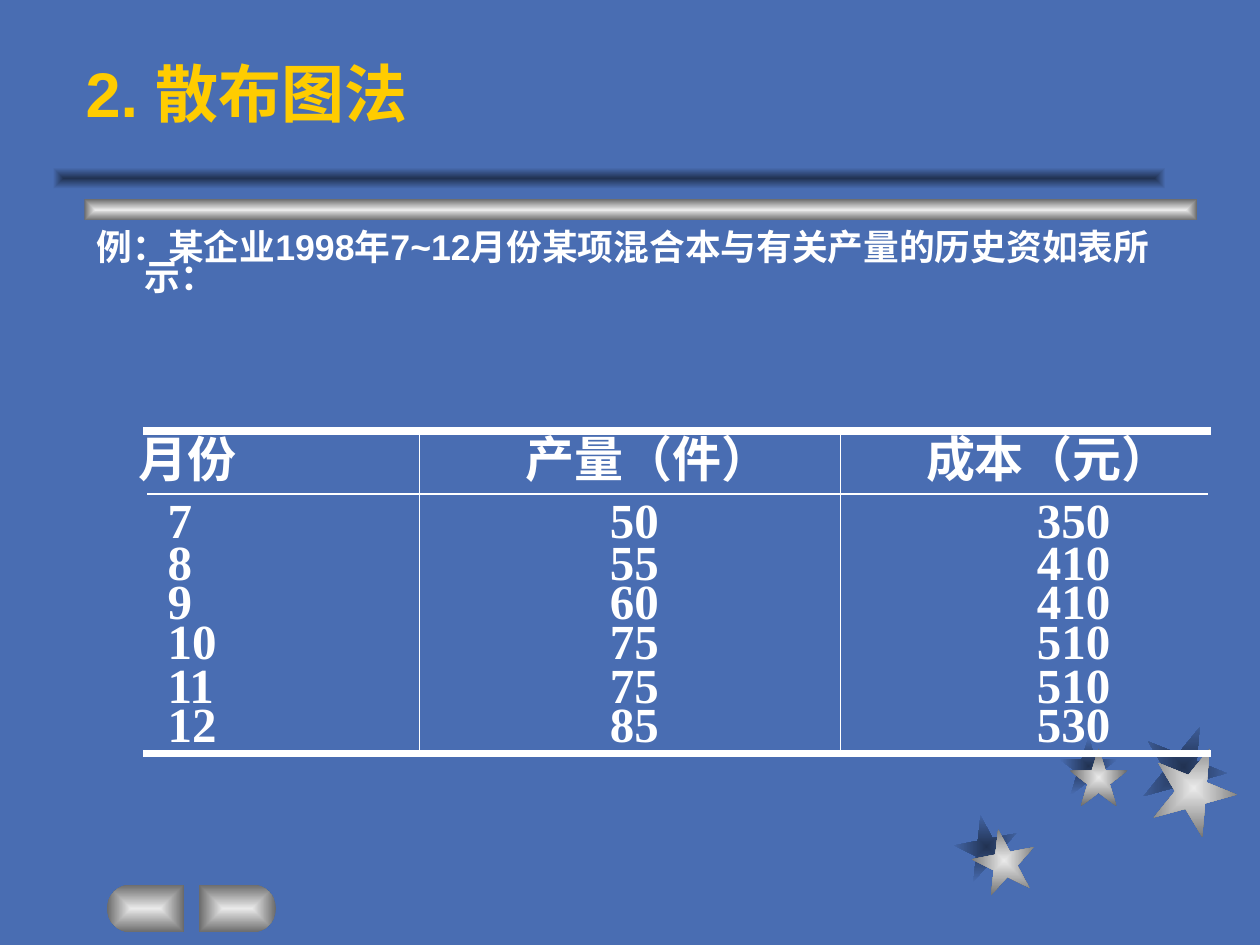
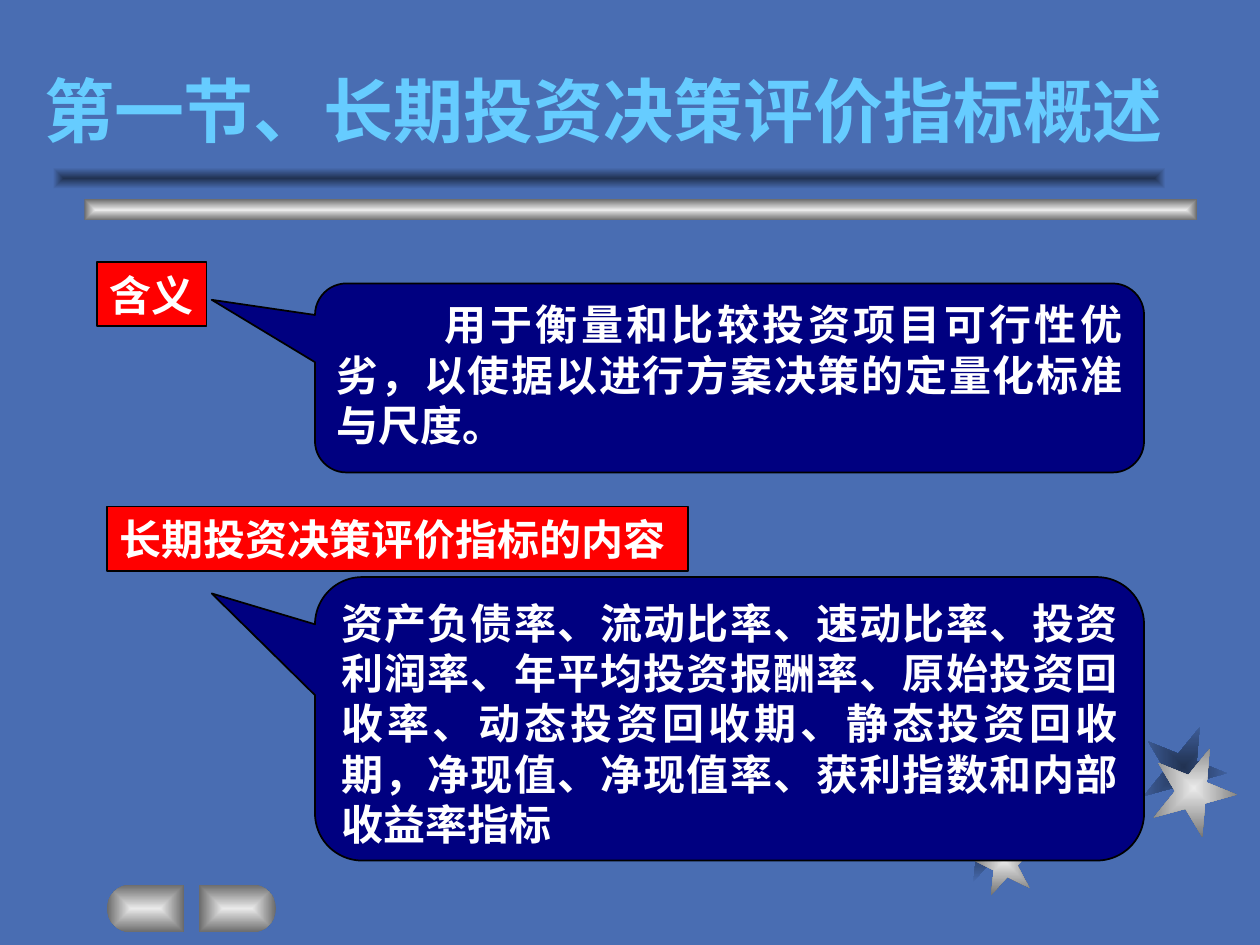
from math import cos, pi, sin

from lxml import etree
from pptx import Presentation
from pptx.dml.color import RGBColor
from pptx.enum.shapes import MSO_CONNECTOR as CONNECTOR, MSO_SHAPE as SHAPE
from pptx.enum.text import MSO_ANCHOR as ANCHOR, PP_ALIGN as ALIGN
from pptx.oxml.ns import qn
from pptx.util import Inches, Pt

COLORS = {
    "back": "496DB2", "shade": "213252", "silver": "EAEAEA", "gray": "6B6B6B",
    "white": "FFFFFF", "gold": "FFCC00", "sky": "66CCFF",
    "red": "FF0000", "navy": "000080", "black": "000000",
}
SANS, SERIF, CJK = "Arial", "Times New Roman", "Noto Sans CJK SC"
SHADOW, METAL = ("shade", "back"), ("silver", "gray")

COST_ROWS = [
    ("月份", "产量（件）", "成本（元）"),
    ("7", "50", "350"),
    ("8", "55", "410"),
    ("9", "60", "410"),
    ("10", "75", "510"),
    ("11", "75", "510"),
    ("12", "85", "530"),
]


def rgb(name):
    return RGBColor.from_string(COLORS[name])


def box(*lengths):
    return [Inches(n) for n in lengths]


def write(tf, text, size, color="white", latin=SERIF, spacing=None,
          align=ALIGN.LEFT, hanging=0, first_line=0):
    """Fill the first paragraph of a frame; indents are in inches."""
    p = tf.paragraphs[0]
    p.text = text
    p.alignment = align
    if spacing:
        p.line_spacing = Pt(spacing)
    pPr = p._p.get_or_add_pPr()
    pPr.set("hangingPunct", "0")
    if hanging or first_line:
        pPr.set("marL", str(Inches(hanging)))
        pPr.set("indent", str(Inches(first_line - hanging)))
    font = p.font
    font.size, font.bold, font.name = Pt(size), True, latin
    font.color.rgb = rgb(color)
    rPr = pPr.find(qn("a:defRPr"))
    etree.SubElement(rPr, qn("a:ea")).set("typeface", CJK)


def center_gradient(s, colors):
    """Fill a shape with a gradient that runs from its centre to its edges."""
    s.shadow.inherit = False
    s.line.fill.background()
    s.fill.gradient()
    for stop, color in zip(s.fill.gradient_stops, colors):
        stop.color.rgb = rgb(color)
    grad = s._element.spPr.find(qn("a:gradFill"))
    grad.remove(grad.find(qn("a:lin")))
    route = etree.SubElement(grad, qn("a:path"))
    route.set("path", "rect")
    center = etree.SubElement(route, qn("a:fillToRect"))
    for side in "ltrb":
        center.set(side, "50000")


def add_star(shapes, left, top, size, rotation, colors):
    s = shapes.add_shape(SHAPE.STAR_5_POINT, *box(left, top, size, size))
    s.rotation = rotation
    center_gradient(s, colors)
    return s


def add_bar(shapes, left, top, colors):
    s = shapes.add_shape(SHAPE.RECTANGLE, *box(left, top, 8.83, 0.17))
    center_gradient(s, colors)
    return s


def add_button(shapes, flat_x, direction):
    """Button with a flat side at flat_x and a round end towards direction."""
    radius, mid_y, steps = 0.19, 7.21, 16
    arc_x = flat_x + direction * (0.61 - radius)
    angles = [pi * i / steps - pi / 2 for i in range(steps + 1)]
    points = [(arc_x + direction * radius * cos(a), mid_y + radius * sin(a))
              for a in angles]
    points.append((flat_x, mid_y + radius))
    builder = shapes.build_freeform(*box(flat_x, mid_y - radius))
    builder.add_line_segments([box(*point) for point in points], close=True)
    s = builder.convert_to_shape()
    center_gradient(s, METAL)
    return s


def decorate_layout(layout, slide):
    """Draw the shared decoration on a slide, then move it to the layout."""
    layout.background.fill.solid()
    layout.background.fill.fore_color.rgb = rgb("back")
    shapes = slide.shapes
    stars = [
        (7.58, 6.47, 0.5, 349, SHADOW), (8.41, 5.85, 0.46, 0, SHADOW),
        (9.06, 5.75, 0.67, 22, SHADOW), (7.72, 6.58, 0.5, 349, METAL),
        (8.49, 5.94, 0.46, 0, METAL), (9.14, 5.92, 0.67, 22, METAL),
    ]
    decoration = [add_star(shapes, *star) for star in stars]
    decoration += [
        add_bar(shapes, 0.67, 1.58, METAL),
        add_bar(shapes, 0.42, 1.33, SHADOW),
        add_button(shapes, 1.46, -1),
        add_button(shapes, 1.58, 1),
    ]
    for s in decoration:
        layout.shapes._spTree.append(s._element)


def set_title(slide, text, place, size, color, latin):
    s = slide.shapes.title
    s.left, s.top, s.width, s.height = box(*place)
    tf = s.text_frame
    tf.word_wrap = True
    tf.vertical_anchor = ANCHOR.BOTTOM
    write(tf, text, size, color, latin)


def add_rule(slide, x1, y1, x2, y2, width):
    s = slide.shapes.add_connector(CONNECTOR.STRAIGHT, *box(x1, y1, x2, y2))
    s.line.color.rgb = rgb("white")
    s.line.width = Pt(width)
    s.line._get_or_add_ln().set("cap", "sq")
    etree.SubElement(s._element.spPr, qn("a:effectLst"))


def clear_borders(cell):
    tcPr = cell._tc.get_or_add_tcPr()
    for i, side in enumerate("LRTB"):
        ln = etree.Element(qn("a:ln" + side))
        etree.SubElement(ln, qn("a:noFill"))
        tcPr.insert(i, ln)


def add_cost_table(slide, rows):
    widths = (2.23, 3.34, 2.91)
    heights = (0.48, 0.46, 0.33, 0.31, 0.32, 0.35, 0.31)
    header_insets, value_insets = (0, 0.84, 0.68), (0.23, 1.51, 1.56)
    place = box(1.1, 3.42, sum(widths), sum(heights))
    table = slide.shapes.add_table(len(rows), len(widths), *place).table
    table.first_row = table.horz_banding = False
    for column, width in zip(table.columns, widths):
        column.width = Inches(width)
    for row, height in zip(table.rows, heights):
        row.height = Inches(height)
    for r, values in enumerate(rows):
        insets, spacing = (value_insets, 22) if r else (header_insets, 34)
        for c, value in enumerate(values):
            cell = table.cell(r, c)
            cell.margin_left = Inches(insets[c])
            cell.margin_right = cell.margin_top = cell.margin_bottom = 0
            cell.vertical_anchor = ANCHOR.BOTTOM
            write(cell.text_frame, value, 28, spacing=spacing)
            cell.fill.background()
            clear_borders(cell)
    for y, width in ((3.42, 4.5), (3.92, 1), (5.98, 4.5)):
        add_rule(slide, 1.17, y, 9.58, y, width)
    for x in (3.33, 6.67):
        add_rule(slide, x, 3.42, x, 6, 1)


def add_outlined(slide, kind, place, color):
    s = slide.shapes.add_shape(kind, *box(*place))
    s.shadow.inherit = False
    s.fill.solid()
    s.fill.fore_color.rgb = rgb(color)
    s.line.color.rgb = rgb("black")
    s.line.width = Pt(1)
    return s


def add_label(slide, text, place):
    tf = add_outlined(slide, SHAPE.RECTANGLE, place, "red").text_frame
    tf.word_wrap = False
    tf.vertical_anchor = ANCHOR.MIDDLE
    tf.margin_top = tf.margin_bottom = 0
    write(tf, text, 24)


def add_callout(slide, text, top, height, tip_y, first_line=0):
    left, width, tip_x = 2.5, 6.58, 1.68
    s = add_outlined(slide, SHAPE.ROUNDED_RECTANGULAR_CALLOUT,
                     (left, top, width, height), "navy")
    s.adjustments[0] = (tip_x - left) / width - 0.5
    s.adjustments[1] = (tip_y - top) / height - 0.5
    s.adjustments[2] = 1 / 6
    tf = s.text_frame
    tf.word_wrap = True
    tf.vertical_anchor = ANCHOR.TOP
    write(tf, text, 24, spacing=28.8, align=ALIGN.JUSTIFY,
          first_line=first_line)


def build_scatter_slide(slide):
    set_title(slide, "2. 散布图法", (0.58, 0.42, 4.67, 0.66), 36, "gold", SANS)
    tf = slide.shapes.add_textbox(*box(0.67, 1.84, 8.83, 0.58)).text_frame
    tf.word_wrap = True
    write(tf, "例：某企业1998年7~12月份某项混合本与有关产量的历史资如表所示：",
          20.4, latin=SANS, spacing=17, hanging=0.38)
    add_cost_table(slide, COST_ROWS)


def build_indicator_slide(slide):
    set_title(slide, "第一节、长期投资决策评价指标概述",
              (0.25, 0.5, 9.75, 0.75), 40, "sky", CJK)
    add_label(slide, "含义", (0.77, 2.08, 0.87, 0.51))
    add_callout(slide, "用于衡量和比较投资项目可行性优劣，以使据以进行方案决策的"
                "定量化标准与尺度。", 2.25, 1.5, 2.38, first_line=0.86)
    add_label(slide, "长期投资决策评价指标的内容", (0.85, 4.02, 4.61, 0.51))
    add_callout(slide, "资产负债率、流动比率、速动比率、投资利润率、年平均投资报酬率、"
                "原始投资回收率、动态投资回收期、静态投资回收期，净现值、净现值率、"
                "获利指数和内部收益率指标", 4.58, 2.25, 4.71)


def main():
    prs = Presentation()
    prs.slide_width, prs.slide_height = box(10, 7.5)
    title_only = prs.slide_layouts[5]
    scatter, indicators = [prs.slides.add_slide(title_only) for _ in range(2)]
    decorate_layout(title_only, scatter)
    build_scatter_slide(scatter)
    build_indicator_slide(indicators)
    prs.save("out.pptx")


if __name__ == "__main__":
    main()
